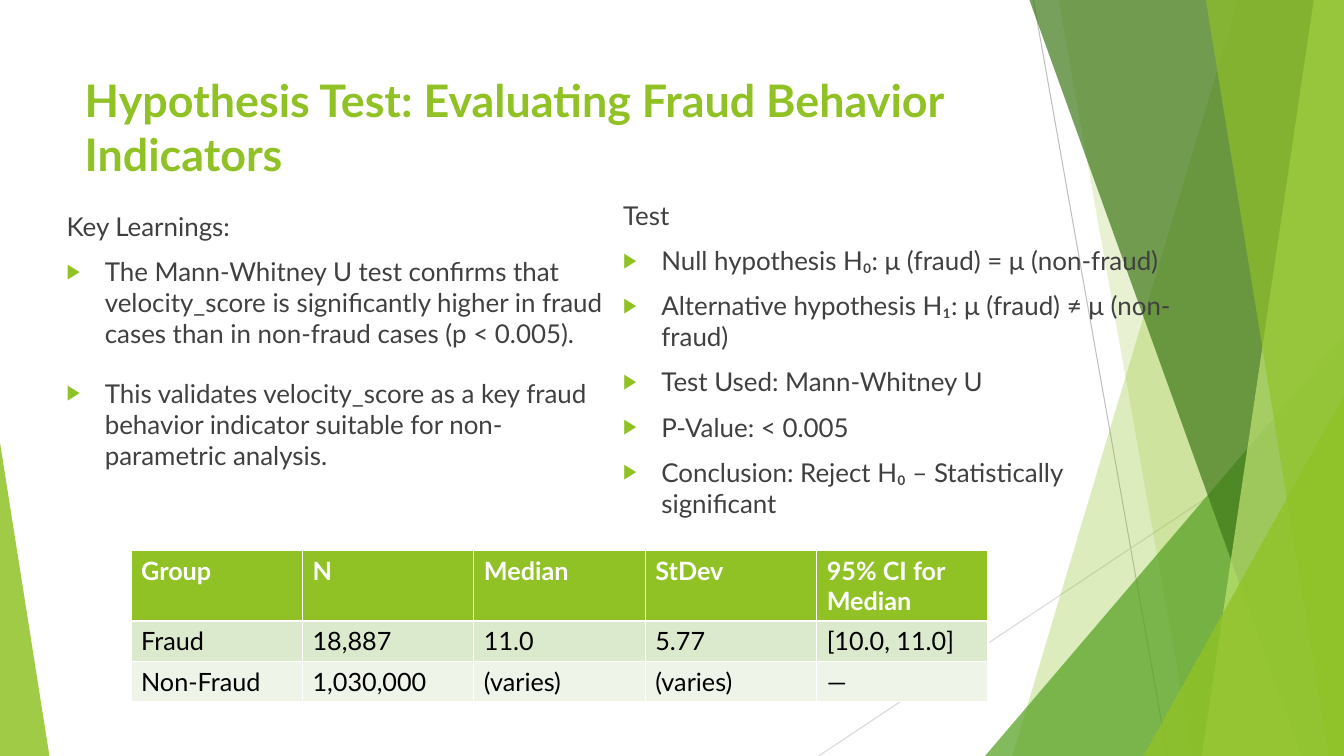
from lxml import etree
from pptx import Presentation
from pptx.dml.color import RGBColor
from pptx.enum.shapes import MSO_CONNECTOR, MSO_SHAPE
from pptx.enum.text import MSO_ANCHOR, MSO_AUTO_SIZE, PP_ALIGN
from pptx.oxml.ns import qn
from pptx.util import Inches, Pt

STRAIGHT = MSO_CONNECTOR.STRAIGHT
TRIANGLE = MSO_SHAPE.ISOSCELES_TRIANGLE
TOP, LEFT, NO_FIT = MSO_ANCHOR.TOP, PP_ALIGN.LEFT, MSO_AUTO_SIZE.NONE
FONT = "Lato"
GREEN, WHITE, BLACK, GREY = "90C226", "FFFFFF", "000000", "404040"


def rgb(value):
    return RGBColor.from_string(value)


def paint(facet, color, opacity):
    """Fill a facet with a partly transparent colour and no outline."""
    facet.shadow.inherit = False
    facet.line.fill.background()
    facet.fill.solid()
    facet.fill.fore_color.rgb = rgb(color)
    srgb = facet._element.spPr.find(qn("a:solidFill")).find(qn("a:srgbClr"))
    etree.SubElement(srgb, qn("a:alpha"), val=str(opacity * 1000))


prs = Presentation()
prs.slide_width, prs.slide_height = Inches(13.33), Inches(7.5)
slide = prs.slides.add_slide(prs.slide_layouts[3])
shapes = slide.shapes
title, learnings, test = list(slide.placeholders)

# Thin rays behind the facets
for x1, y1, x2, y2, color in [(10.25, 0, 11.58, 7.5, "BFBFBF"),
                              (13.33, 4.03, 8.12, 7.5, "D9D9D9")]:
    ray = shapes.add_connector(STRAIGHT, Inches(x1), Inches(y1), Inches(x2), Inches(y2))
    ray.line.color.rgb = rgb(color)
    ray.line.width = Pt(0.75)
    etree.SubElement(ray._element.spPr, qn("a:effectLst"))

# Facets from back to front: full-height bands (top x, bottom x) reach the
# right edge; triangles have (left, top, width, height, apex)
facets = [
    ((12.28, 10.04), GREEN, 30),
    ((10.5, 11.83), GREEN, 20),
    ((9.77, 3.33, 3.56, 4.17, 1), "54A021", 72),
    ((10.21, 12.91), "3F7819", 70),
    ((13.03, 11.92), "C0E474", 70),
    ((11.96, 13.18), GREEN, 65),
    ((11.34, 3.93, 1.99, 3.57, 1), GREEN, 80),
    ((0, 4.39, 0.49, 3.11, 0), GREEN, 85),
]
for outline, color, opacity in facets:
    if len(outline) == 2:
        top_x, bottom_x = outline
        band = shapes.build_freeform(Inches(top_x), 0)
        band.add_line_segments([(Inches(x), Inches(y)) for x, y in
                                [(13.33, 0), (13.33, 7.5), (bottom_x, 7.5)]])
        facet = band.convert_to_shape()
    else:
        *box, apex = outline
        facet = shapes.add_shape(TRIANGLE, *map(Inches, box))
        facet.adjustments[0] = apex
    paint(facet, color, opacity)

# Title and the two lists, in front of the facets
columns = [
    (title, (0.74, 0.67, 9.4, 1.44), 0,
     ["Hypothesis Test: Evaluating Fraud Behavior Indicators"]),
    (learnings, (0.56, 2.04, 5.67, 3.13), 10, [
        "Key Learnings:",
        "The Mann-Whitney U test confirms that velocity_score is significantly "
        "higher in fraud cases than in non-fraud cases (p < 0.005).",
        "This validates velocity_score as a key fraud behavior indicator "
        "suitable for non-parametric analysis."]),
    (test, (6.08, 1.93, 5.67, 3.36), 0, [
        "Test",
        "Null hypothesis H₀: μ (fraud) = μ (non-fraud)",
        "Alternative hypothesis H₁: μ (fraud) ≠ μ (non-fraud)",
        "Test Used: Mann-Whitney U",
        "P-Value: < 0.005",
        "Conclusion: Reject H₀ – Statistically significant"]),
]
for holder, box, space_after, lines in columns:
    shapes._spTree.append(holder._element)
    holder.left, holder.top, holder.width, holder.height = map(Inches, box)
    frame = holder.text_frame
    frame.text = "\n".join(lines)
    frame.word_wrap = True
    frame.auto_size = NO_FIT
    frame.vertical_anchor = TOP
    is_title = holder is title
    for i, paragraph in enumerate(frame.paragraphs):
        paragraph.alignment = LEFT
        paragraph.font.name = FONT
        paragraph.font.size = Pt(32 if is_title else 18.5)
        paragraph.font.bold = is_title
        paragraph.font.color.rgb = rgb(GREEN if is_title else GREY)
        if is_title:
            continue
        paragraph.space_before = Pt(10)
        paragraph.space_after = Pt(space_after if i else 0)
        pPr = paragraph._p.get_or_add_pPr()
        indent = Inches(0.38) if i else 0
        pPr.set("marL", str(indent))
        pPr.set("indent", str(-indent))
        # Bullet elements belong just before the default run properties
        if i:
            bullet_color = etree.Element(qn("a:buClr"))
            etree.SubElement(bullet_color, qn("a:srgbClr"), val=GREEN)
            bullet = [bullet_color,
                      etree.Element(qn("a:buSzPct"), val="80000"),
                      etree.Element(qn("a:buChar"), char="▶")]
        else:
            bullet = [etree.Element(qn("a:buNone"))]
        for part in bullet:
            pPr.find(qn("a:defRPr")).addprevious(part)

# Group statistics
statistics = [
    ["Group", "N", "Median", "StDev", "95% CI for Median"],
    ["Fraud", "18,887", "11.0", "5.77", "[10.0, 11.0]"],
    ["Non-Fraud", "1,030,000", "(varies)", "(varies)", "—"],
]
row_styles = [(0.69, GREEN, WHITE), (0.4, "DBE9CD", BLACK), (0.4, "EEF4E8", BLACK)]
table = shapes.add_table(3, 5, Inches(1.3), Inches(5.46), Inches(8.5), Inches(1.49)).table
for r, (values, (height, fill, ink)) in enumerate(zip(statistics, row_styles)):
    table.rows[r].height = Inches(height)
    for c, value in enumerate(values):
        cell = table.cell(r, c)
        cell.text = value
        cell.fill.solid()
        cell.fill.fore_color.rgb = rgb(fill)
        font = cell.text_frame.paragraphs[0].font
        font.name, font.size, font.bold = FONT, Pt(18), r == 0
        font.color.rgb = rgb(ink)

prs.save("out.pptx")
